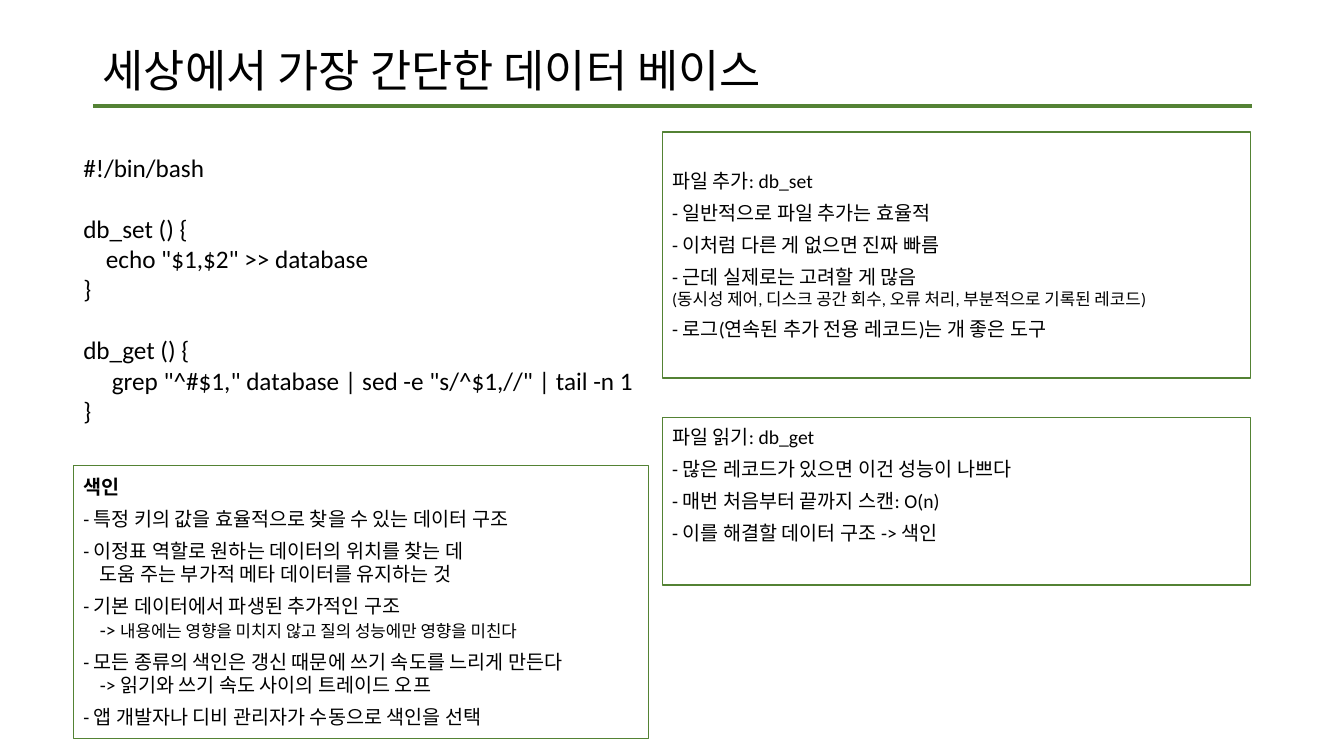
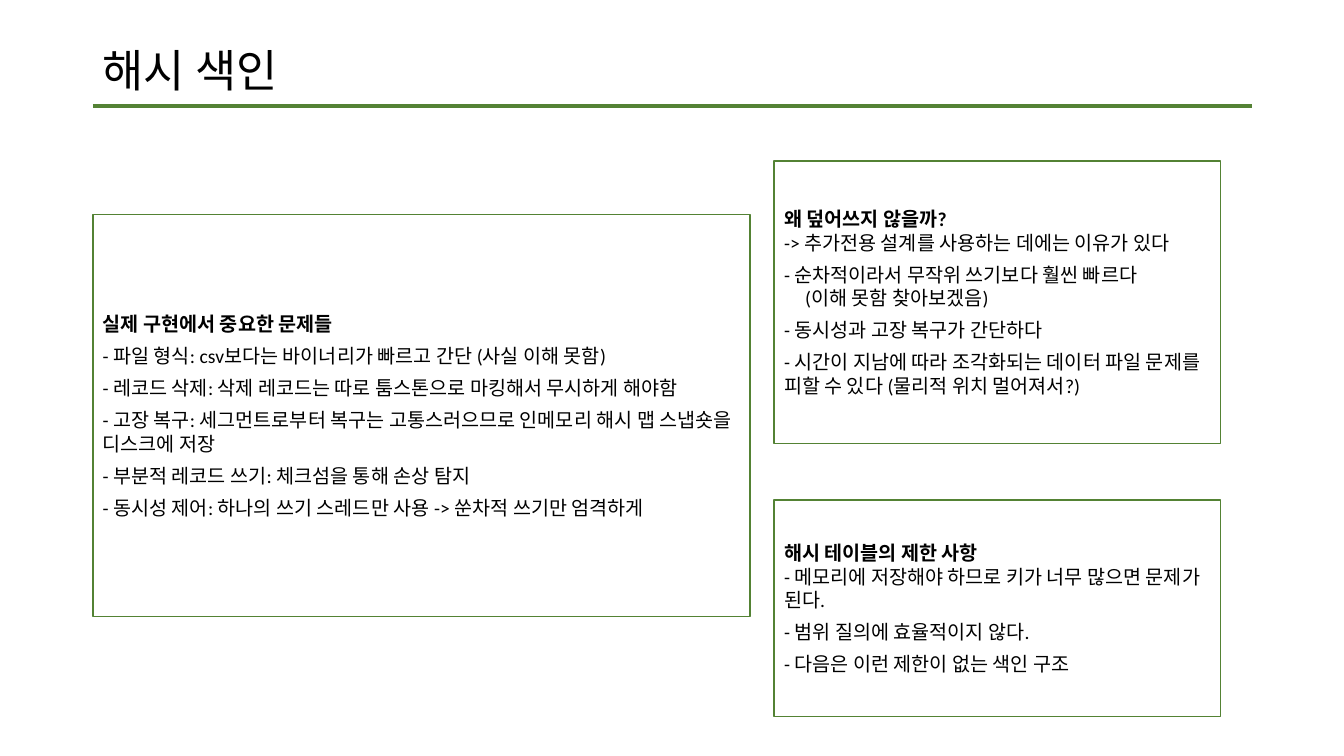
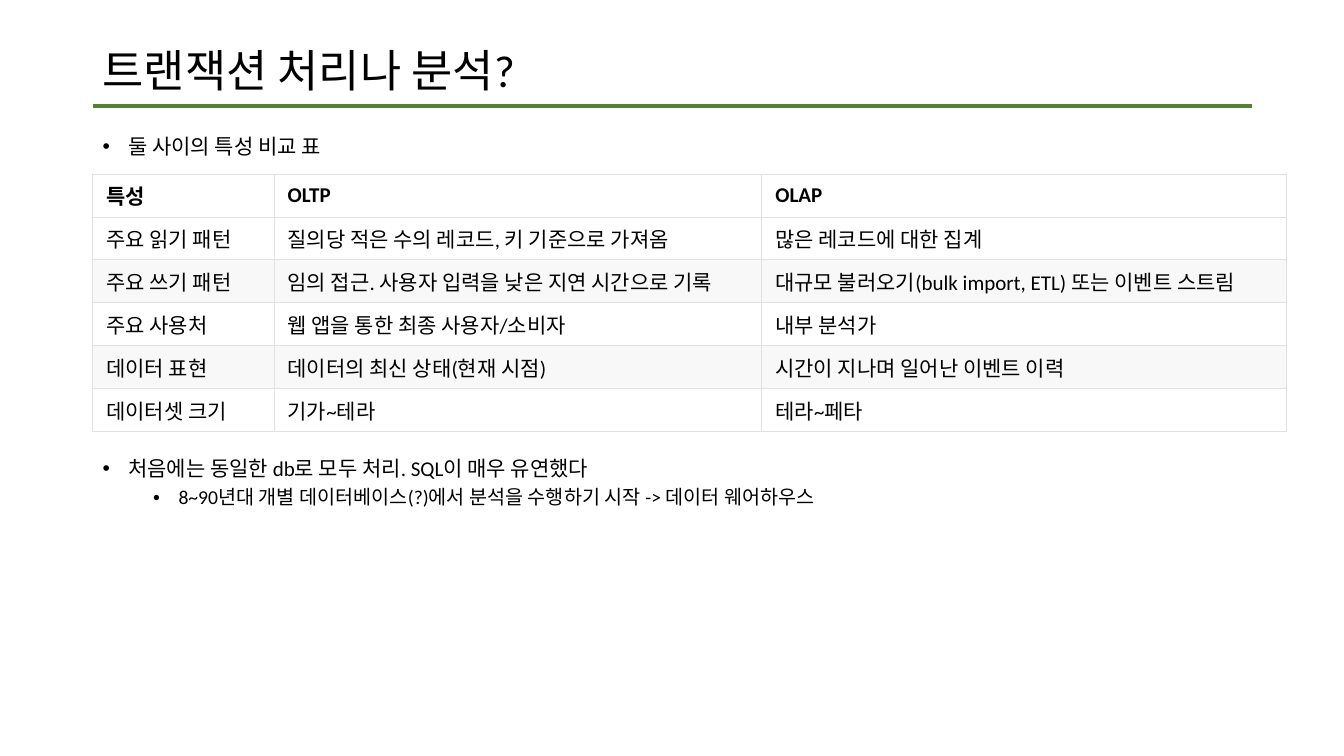
from dataclasses import dataclass

from lxml.etree import SubElement
from pptx import Presentation
from pptx.dml.color import RGBColor
from pptx.enum.shapes import MSO_CONNECTOR, MSO_SHAPE
from pptx.enum.text import MSO_ANCHOR, PP_ALIGN
from pptx.oxml.ns import qn
from pptx.util import Cm, Pt

FONT = "Calibri"
BLACK = "000000"
WHITE = "FFFFFF"
RULE_GREEN = "548235"
BOX_GREEN = "538234"
BAND_GREY = "F8F8F8"
GRID_GREY = "DFE2E5"
LEFT, WIDTH = 2.34, 29.21


@dataclass
class Para:
    text: str
    small: str = ""
    size: float = 14
    bold: bool = False
    before: float = 6
    indent: float = 0
    bullet: bool = False
    spacing: float = 1


def rgb(value):
    return RGBColor.from_string(value)


def add_run(p, text, size, bold):
    r = p.add_run()
    r.text = text
    r.font.name = FONT
    r.font.size = Pt(size)
    r.font.bold = bold
    r.font.color.rgb = rgb(BLACK)


def write(tf, paras, anchor=MSO_ANCHOR.TOP):
    tf.word_wrap = True
    tf.vertical_anchor = anchor
    for i, item in enumerate(paras):
        p = tf.add_paragraph() if i else tf.paragraphs[0]
        p.alignment = PP_ALIGN.LEFT
        p.space_before = Pt(item.before)
        p.line_spacing = item.spacing
        pPr = p._p.get_or_add_pPr()
        pPr.set("marL", str(Cm(item.indent)))
        if item.bullet:
            pPr.set("indent", str(-Cm(0.64)))
            SubElement(pPr, qn("a:buFont")).set("typeface", "Arial")
            SubElement(pPr, qn("a:buChar")).set("char", "•")
        for text, size in ((item.text, item.size), (item.small, 12)):
            if text:
                add_run(p, text, size, item.bold)


def add_text(s, x, y, w, h, paras, anchor=MSO_ANCHOR.TOP):
    sp = s.shapes.add_textbox(Cm(x), Cm(y), Cm(w), Cm(h))
    write(sp.text_frame, paras, anchor)


def add_box(s, x, y, w, h, paras, bottom=0.13):
    sp = s.shapes.add_shape(MSO_SHAPE.RECTANGLE, Cm(x), Cm(y), Cm(w), Cm(h))
    sp.shadow.inherit = False
    sp.fill.background()
    sp.line.color.rgb = rgb(BOX_GREEN)
    sp.line.width = Pt(1)
    sp.text_frame.margin_bottom = Cm(bottom)
    write(sp.text_frame, paras, MSO_ANCHOR.MIDDLE)


def new_slide(prs, title):
    s = prs.slides.add_slide(prs.slide_layouts[6])
    y = Cm(2.67)
    rule = s.shapes.add_connector(
        MSO_CONNECTOR.STRAIGHT, Cm(LEFT), y, Cm(LEFT + WIDTH), y)
    rule.line.color.rgb = rgb(RULE_GREEN)
    rule.line.width = Pt(2.25)
    SubElement(rule._element.spPr, qn("a:effectLst"))
    add_text(s, LEFT, 1.02, WIDTH, 1.65,
             [Para(title, size=32, before=0, spacing=0.9)], MSO_ANCHOR.MIDDLE)
    return s


def code_line(text, before=0, indent=0):
    return Para(text, size=18, before=before, indent=indent)


def bullet(text, level=0):
    return Para(text, size=15 - level, before=10 - 5 * level,
                indent=0.64 + 1.27 * level, bullet=True, spacing=0.9)


def style_cell(cell, text, bold, fill):
    cell.margin_left = cell.margin_right = Cm(0.34)
    cell.margin_top = cell.margin_bottom = Cm(0.15)
    write(cell.text_frame, [Para(text, size=15, bold=bold, before=0)])
    cell.vertical_anchor = MSO_ANCHOR.MIDDLE
    tcPr = cell._tc.get_or_add_tcPr()
    for side in ("lnL", "lnR", "lnT", "lnB"):
        ln = SubElement(tcPr, qn(f"a:{side}"), w=str(Pt(0.75)))
        solid = SubElement(ln, qn("a:solidFill"))
        SubElement(solid, qn("a:srgbClr"), val=GRID_GREY)
    cell.fill.solid()
    cell.fill.fore_color.rgb = rgb(fill)


def add_grid(s, x, y, widths, row_height, rows):
    table = s.shapes.add_table(
        len(rows), len(widths), Cm(x), Cm(y),
        Cm(sum(widths)), Cm(row_height * len(rows))).table
    table.horz_banding = False
    for col, width in zip(table.columns, widths):
        col.width = Cm(width)
    for i, row in enumerate(rows):
        table.rows[i].height = Cm(row_height)
        fill = BAND_GREY if i and i % 2 == 0 else WHITE
        for j, text in enumerate(row):
            style_cell(table.cell(i, j), text, i == 0, fill)


def build_simple_database(prs):
    s = new_slide(prs, "세상에서 가장 간단한 데이터 베이스")
    right, right_w = 16.69, 14.83
    add_box(s, right, 3.33, right_w, 6.2, [
        Para("파일 추가: db_set"),
        Para("- 일반적으로 파일 추가는 효율적"),
        Para("- 이처럼 다른 게 없으면 진짜 빠름"),
        Para("- 근데 실제로는 고려할 게 많음"),
        Para("", "(동시성 제어, 디스크 공간 회수, 오류 처리, 부분적으로 기록된 레코드)",
             before=0),
        Para("- 로그(연속된 추가 전용 레코드)는 개 좋은 도구"),
    ])
    add_box(s, right, 10.52, right_w, 4.22, [
        Para("파일 읽기: db_get"),
        Para("- 많은 레코드가 있으면 이건 성능이 나쁘다"),
        Para("- 매번 처음부터 끝까지 스캔: O(n)"),
        Para("- 이를 해결할 데이터 구조 -> 색인"),
    ], bottom=0.94)
    add_text(s, 1.85, 3.71, 16.94, 7.19, [
        code_line("#!/bin/bash"),
        code_line("db_set () {", before=22),
        code_line('echo "$1,$2" >> database', indent=0.57),
        code_line("}"),
        code_line("db_get () {", before=22),
        code_line('grep "^#$1," database | sed -e "s/^$1,//" | tail -n 1',
                  indent=0.72),
        code_line("}"),
    ])
    add_box(s, 1.85, 11.73, 14.5, 6.88, [
        Para("색인", bold=True),
        Para("- 특정 키의 값을 효율적으로 찾을 수 있는 데이터 구조"),
        Para("- 이정표 역할로 원하는 데이터의 위치를 찾는 데"),
        Para("도움 주는 부가적 메타 데이터를 유지하는 것", before=0, indent=0.42),
        Para("- 기본 데이터에서 파생된 추가적인 구조"),
        Para("-> ", "내용에는 영향을 미치지 않고 질의 성능에만 영향을 미친다",
             before=0, indent=0.42),
        Para("- 모든 종류의 색인은 갱신 때문에 쓰기 속도를 느리게 만든다"),
        Para("-> 읽기와 쓰기 속도 사이의 트레이드 오프", before=0, indent=0.42),
        Para("- 앱 개발자나 디비 관리자가 수동으로 색인을 선택"),
    ])


def build_hash_index(prs):
    s = new_slide(prs, "해시 색인")
    right, right_w = 19.51, 11.25
    add_box(s, LEFT, 5.41, 16.56, 10.13, [
        Para("실제 구현에서 중요한 문제들", bold=True),
        Para("- 파일 형식: csv보다는 바이너리가 빠르고 간단 (사실 이해 못함)"),
        Para("- 레코드 삭제: 삭제 레코드는 따로 툼스톤으로 마킹해서 무시하게 해야함"),
        Para("- 고장 복구: 세그먼트로부터 복구는 고통스러으므로 인메모리 해시 맵 "
             "스냅숏을 디스크에 저장"),
        Para("- 부분적 레코드 쓰기: 체크섬을 통해 손상 탐지"),
        Para("- 동시성 제어: 하나의 쓰기 스레드만 사용 -> 쑨차적 쓰기만 엄격하게"),
    ])
    add_box(s, right, 4.06, right_w, 7.11, [
        Para("왜 덮어쓰지 않을까?", bold=True),
        Para("-> 추가전용 설계를 사용하는 데에는 이유가 있다", before=0),
        Para("- 순차적이라서 무작위 쓰기보다 훨씬 빠르다"),
        Para("(이해 못함 찾아보겠음)", before=0, indent=0.53),
        Para("- 동시성과 고장 복구가 간단하다"),
        Para("- 시간이 지남에 따라 조각화되는 데이터 파일 문제를 피할 수 있다 "
             "(물리적 위치 멀어져서?)"),
    ])
    add_box(s, right, 12.6, right_w, 5.46, [
        Para("해시 테이블의 제한 사항", bold=True),
        Para("- 메모리에 저장해야 하므로 키가 너무 많으면 문제가 된다.", before=0),
        Para("- 범위 질의에 효율적이지 않다."),
        Para("- 다음은 이런 제한이 없는 색인 구조"),
    ])


def build_comparison(prs):
    s = new_slide(prs, "트랜잭션 처리나 분석?")
    add_text(s, LEFT, 3.3, WIDTH, 1, [bullet("둘 사이의 특성 비교 표")])
    add_grid(s, LEFT, 4.39, (4.57, 12.29, 13.23), 1.08, [
        ("특성", "OLTP", "OLAP"),
        ("주요 읽기 패턴", "질의당 적은 수의 레코드, 키 기준으로 가져옴",
         "많은 레코드에 대한 집계"),
        ("주요 쓰기 패턴", "임의 접근. 사용자 입력을 낮은 지연 시간으로 기록",
         "대규모 불러오기(bulk import, ETL) 또는 이벤트 스트림"),
        ("주요 사용처", "웹 앱을 통한 최종 사용자/소비자", "내부 분석가"),
        ("데이터 표현", "데이터의 최신 상태(현재 시점)",
         "시간이 지나며 일어난 이벤트 이력"),
        ("데이터셋 크기", "기가~테라", "테라~페타"),
    ])
    add_text(s, LEFT, 11.42, WIDTH, 1.8, [
        bullet("처음에는 동일한 db로 모두 처리. SQL이 매우 유연했다"),
        bullet("8~90년대 개별 데이터베이스(?)에서 분석을 수행하기 시작 "
               "-> 데이터 웨어하우스", level=1),
    ])


def main():
    prs = Presentation()
    prs.slide_width = Cm(33.87)
    prs.slide_height = Cm(19.05)
    build_simple_database(prs)
    build_hash_index(prs)
    build_comparison(prs)
    prs.save("out.pptx")


if __name__ == "__main__":
    main()
